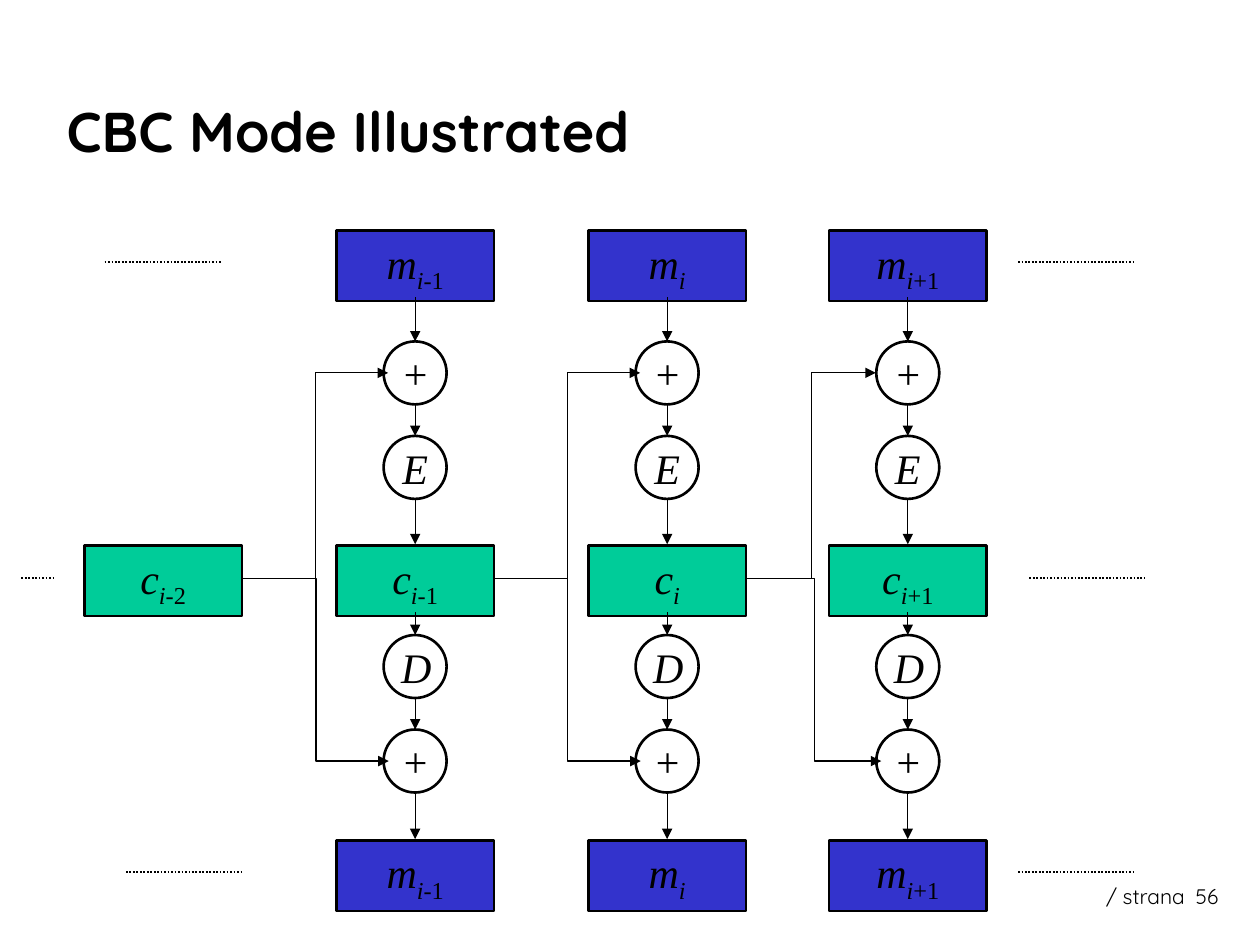
"""Build the slide that illustrates CBC mode encryption and decryption."""
from dataclasses import dataclass

from lxml.etree import SubElement
from pptx import Presentation
from pptx.dml.color import RGBColor
from pptx.enum.dml import MSO_LINE
from pptx.enum.shapes import MSO_CONNECTOR, MSO_SHAPE
from pptx.enum.text import MSO_ANCHOR, PP_ALIGN
from pptx.oxml.ns import qn
from pptx.util import Inches, Pt


@dataclass(frozen=True)
class Theme:
    black: RGBColor = RGBColor(0x00, 0x00, 0x00)
    message: RGBColor = RGBColor(0x33, 0x33, 0xCC)
    cipher: RGBColor = RGBColor(0x00, 0xCC, 0x99)
    heading_font: str = "Quicksand"
    diagram_font: str = "Times New Roman"
    title_size: int = 32
    diagram_size: int = 24
    footer_size: int = 12
    outline: float = 1.5
    arrow: float = 0.75
    ellipsis: float = 1


@dataclass(frozen=True)
class Column:
    left: float
    offset: str
    arrow_end: float

    @property
    def center(self) -> float:
        return self.left + BLOCK_WIDTH / 2


@dataclass(frozen=True)
class Label:
    text: str
    left: float
    top: float
    width: float
    height: float
    size: int
    bold: bool = False


THEME = Theme()
BLOCK_WIDTH, BLOCK_HEIGHT = 1.25, 0.56
CIRCLE = 0.5
SYMBOL_WIDTH = 0.42
PLAIN_TOP, CIPHER_TOP, DECRYPTED_TOP = 1.83, 4.33, 6.67
CHAIN_Y = 4.59
COLUMNS = (Column(2.67, "-1", 3.08), Column(4.67, "", 5.08), Column(6.58, "+1", 6.95))
FIRST_CIPHER = Column(0.67, "-2", 0)
OPERATIONS = (("+", 2.71), ("E", 3.46), ("D", 5.04), ("+", 5.79))
FLOW = ((2.36, 2.71), (3.21, 3.46), (3.96, 4.32), (4.86, 5.04), (5.54, 5.79), (6.29, 6.66))
XOR_CENTERS = (2.96, 6.04)
ELLIPSES = (
    (8.08, 9, 2.08), (1, 1.92, 6.92), (0.83, 1.75, 2.08),
    (8.08, 9, 6.92), (8.17, 9.08, CHAIN_Y), (0.17, 0.42, CHAIN_Y),
)
LABELS = (
    Label("CBC Mode Illustrated", 0.43, 0.76, 6.85, 0.55, THEME.title_size, True),
    Label("/ strana", 8.68, 6.96, 0.83, 0.25, THEME.footer_size),
    Label("56", 9.39, 6.96, 0.67, 0.25, THEME.footer_size),
)


def style_font(font, name: str, size: int) -> None:
    font.name = name
    font.size = Pt(size)
    font.color.rgb = THEME.black


def add_label(slide, label: Label) -> None:
    box = slide.shapes.add_textbox(
        Inches(label.left), Inches(label.top), Inches(label.width), Inches(label.height))
    frame = box.text_frame
    frame.word_wrap = True
    if label.bold:
        frame.vertical_anchor = MSO_ANCHOR.MIDDLE
    paragraph = frame.paragraphs[0]
    paragraph.text = label.text
    style_font(paragraph.font, THEME.heading_font, label.size)
    paragraph.font.bold = label.bold


def outline(shape) -> None:
    shape.shadow.inherit = False
    shape.line.color.rgb = THEME.black
    shape.line.width = Pt(THEME.outline)


def add_block(slide, column: Column, top: float, letter: str, fill: RGBColor) -> None:
    block = slide.shapes.add_shape(
        MSO_SHAPE.RECTANGLE, Inches(column.left), Inches(top),
        Inches(BLOCK_WIDTH), Inches(BLOCK_HEIGHT))
    outline(block)
    block.fill.solid()
    block.fill.fore_color.rgb = fill
    block.text_frame.vertical_anchor = MSO_ANCHOR.MIDDLE
    paragraph = block.text_frame.paragraphs[0]
    paragraph.alignment = PP_ALIGN.CENTER
    style_font(paragraph.font, THEME.diagram_font, THEME.diagram_size)
    for text, italic, subscript in ((letter, True, False), ("i", True, True),
                                    (column.offset, False, True)):
        if text:
            run = paragraph.add_run()
            run.text = text
            run.font.italic = italic
            if subscript:
                run.font._element.set("baseline", "-25000")


def add_operation(slide, center: float, top: float, symbol: str) -> None:
    group = slide.shapes.add_group_shape()
    circle = group.shapes.add_shape(
        MSO_SHAPE.OVAL, Inches(center - CIRCLE / 2), Inches(top), Inches(CIRCLE), Inches(CIRCLE))
    outline(circle)
    circle.fill.background()
    box = group.shapes.add_textbox(
        Inches(center - SYMBOL_WIDTH / 2), Inches(top), Inches(SYMBOL_WIDTH), Inches(CIRCLE))
    box.text_frame.word_wrap = False
    paragraph = box.text_frame.paragraphs[0]
    paragraph.text = symbol
    paragraph.alignment = PP_ALIGN.CENTER
    style_font(paragraph.font, THEME.diagram_font, THEME.diagram_size)
    paragraph.font.italic = True


def add_line(slide, start: tuple[float, float], end: tuple[float, float],
             kind: MSO_CONNECTOR = MSO_CONNECTOR.STRAIGHT, arrow: bool = True) -> None:
    connector = slide.shapes.add_connector(
        kind, *(Inches(value) for value in (*start, *end)))
    connector.line.color.rgb = THEME.black
    connector.line.width = Pt(THEME.arrow if arrow else THEME.ellipsis)
    if arrow:
        SubElement(connector.line._get_or_add_ln(), qn("a:tailEnd"), type="triangle")
    else:
        connector.line.dash_style = MSO_LINE.ROUND_DOT
    SubElement(connector._element.spPr, qn("a:effectLst"))


def main() -> None:
    presentation = Presentation()
    presentation.slide_width = Inches(10)
    presentation.slide_height = Inches(7.5)
    slide = presentation.slides.add_slide(presentation.slide_layouts[6])

    for label in LABELS:
        add_label(slide, label)
    add_block(slide, FIRST_CIPHER, CIPHER_TOP, "c", THEME.cipher)
    for column in COLUMNS:
        add_block(slide, column, PLAIN_TOP, "m", THEME.message)
        add_block(slide, column, CIPHER_TOP, "c", THEME.cipher)
        add_block(slide, column, DECRYPTED_TOP, "m", THEME.message)
        for symbol, top in OPERATIONS:
            add_operation(slide, column.center, top, symbol)
        for start, end in FLOW:
            add_line(slide, (column.center, start), (column.center, end))
    for left, right, y in ELLIPSES:
        add_line(slide, (left, y), (right, y), arrow=False)
    for previous, column in zip((FIRST_CIPHER, *COLUMNS), COLUMNS):
        start = (previous.left + BLOCK_WIDTH + 0.01, CHAIN_Y)
        lower_end = column.center - SYMBOL_WIDTH / 2
        for end_x, y in zip((column.arrow_end, lower_end), XOR_CENTERS):
            add_line(slide, start, (end_x, y), MSO_CONNECTOR.ELBOW)

    presentation.save("out.pptx")


if __name__ == "__main__":
    main()
